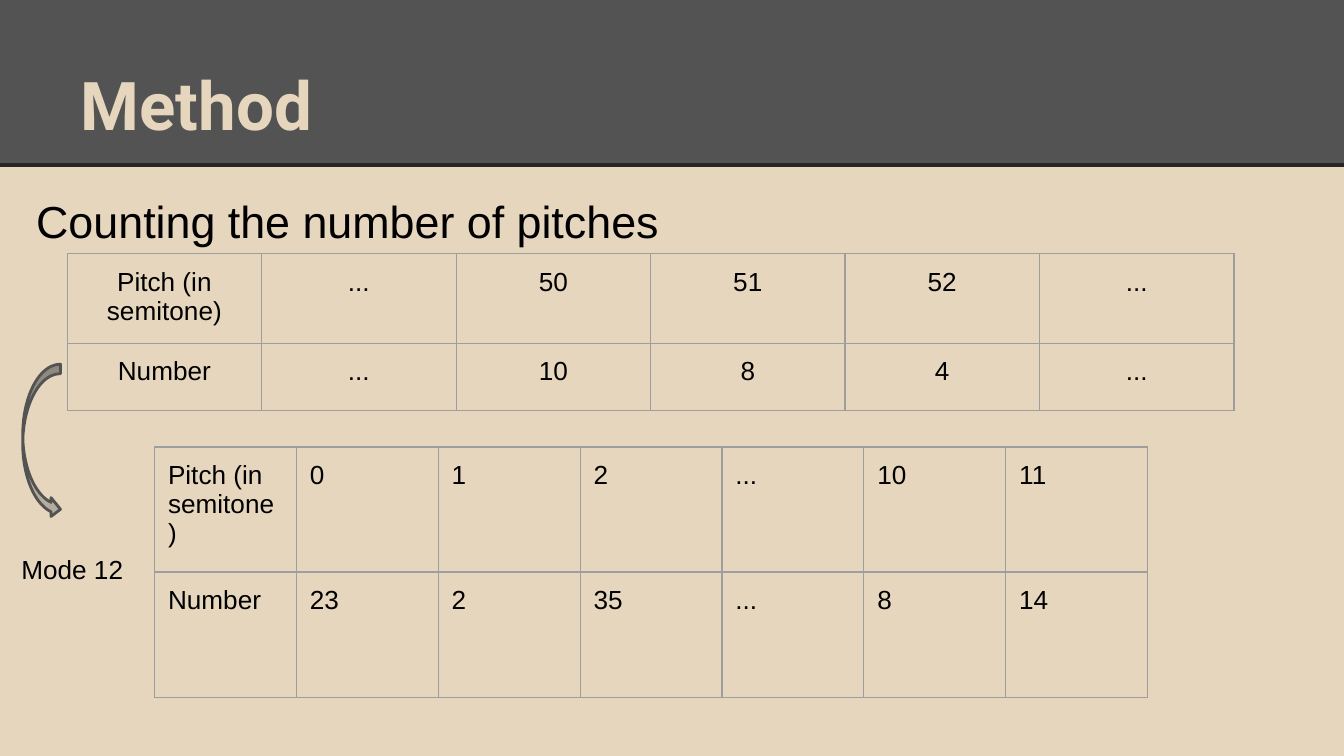
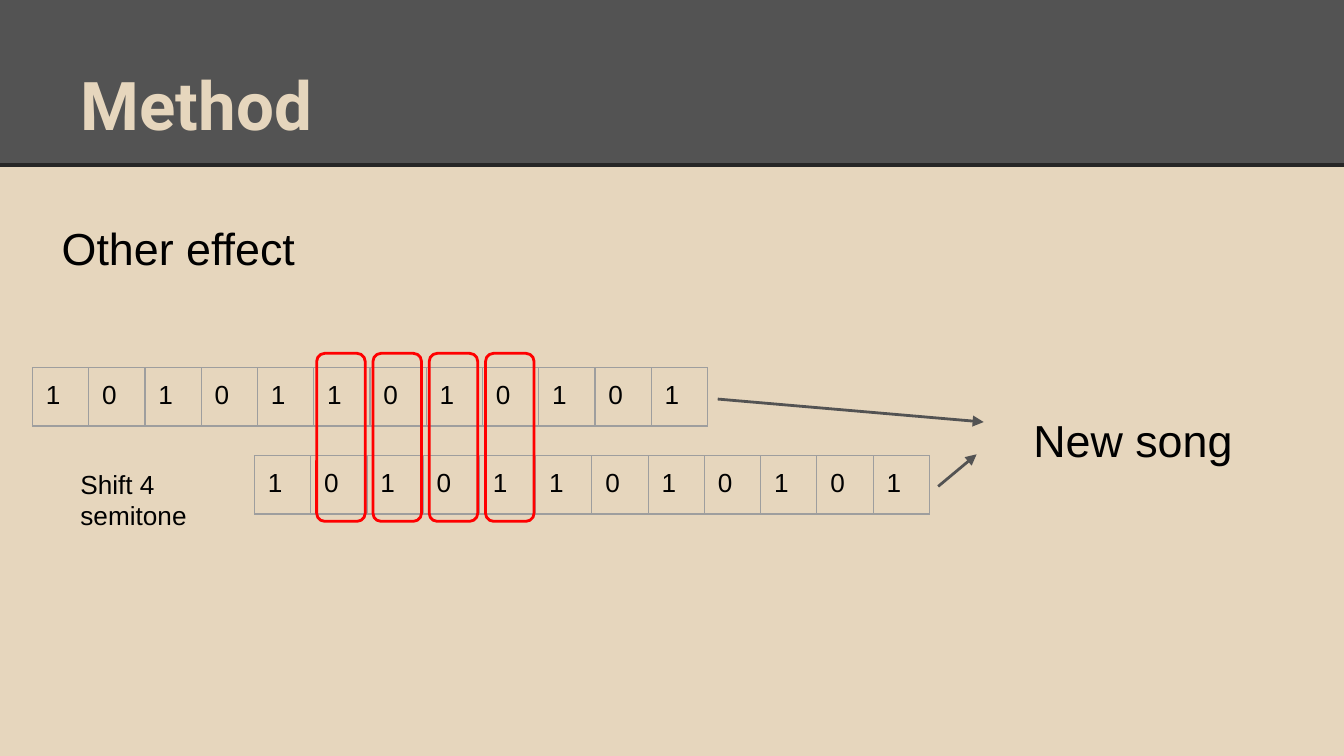
from collections import namedtuple

from lxml import etree
from pptx import Presentation
from pptx import util as u
from pptx.dml.color import RGBColor
from pptx.enum import shapes, text
from pptx.oxml import ns, parse_xml

COLORS = {
    "sand": "E6D6BD",
    "slate": "535353",
    "rule": "262626",
    "arrow": "B4AD9E",
    "grid": "9E9E9E",
    "ink": "000000",
    "overlap": "FF0000",
}
INSET = u.Pt(7.2)
BAND_HEIGHT = 88.5
NOTE_COLUMN = 30.15
MELODY = list("101011010101")


class Box(namedtuple("Box", "left top width height")):
    def inner(self, left, top, width, height):
        return Box(self.left + left, self.top + top, width, height)

    def lengths(self):
        return [u.Pt(value) for value in self]


PAGE = Box(0, 0, 720, 405)
BAND = PAGE.inner(0, 0, PAGE.width, BAND_HEIGHT)
BODY = PAGE.inner(0, BAND_HEIGHT, PAGE.width, PAGE.height - BAND_HEIGHT)


def rgb(name):
    return RGBColor.from_string(COLORS[name])


def set_insets(holder):
    holder.margin_left = holder.margin_right = INSET
    holder.margin_top = holder.margin_bottom = INSET


def write(frame, words, size=14, font="Arial", color="ink", bold=False,
          align=text.PP_ALIGN.LEFT):
    paragraph = frame.paragraphs[0]
    paragraph.alignment = align
    run = paragraph.add_run()
    run.text = words
    run.font.size = u.Pt(size)
    run.font.name = font
    run.font.bold = bold
    run.font.color.rgb = rgb(color)


def add_label(slide, box, words, **style):
    frame = slide.shapes.add_textbox(*box.lengths()).text_frame
    frame.word_wrap = True
    set_insets(frame)
    write(frame, words, **style)


def add_outlined(slide, preset, box, line, fill=None):
    shape = slide.shapes.add_shape(preset, *box.lengths())
    shape.shadow.inherit = False
    if fill:
        shape.fill.solid()
        shape.fill.fore_color.rgb = rgb(fill)
    else:
        shape.fill.background()
    shape.line.color.rgb = rgb(line)
    shape.line.width = u.Pt(1.5)
    return shape


def add_line(slide, box, color, width, arrow=False):
    """Draw from the box's corner by its width and height, which may be negative."""
    left, top, across, down = box
    line = slide.shapes.add_connector(
        shapes.MSO_CONNECTOR.STRAIGHT,
        u.Pt(left), u.Pt(top), u.Pt(left + across), u.Pt(top + down))
    line.line.color.rgb = rgb(color)
    line.line.width = u.Pt(width)
    properties = line._element.spPr
    if arrow:
        stroke = properties.find(ns.qn("a:ln"))
        etree.SubElement(stroke, ns.qn("a:tailEnd"), type="triangle")
    etree.SubElement(properties, ns.qn("a:effectLst"))
    return line


def add_borders(cell):
    for side in ("lnL", "lnR", "lnT", "lnB"):
        cell._tc.get_or_add_tcPr().append(parse_xml(
            f'<a:{side} {ns.nsdecls("a")} w="{u.Pt(0.75)}"><a:solidFill>'
            f'<a:srgbClr val="{COLORS["grid"]}"/></a:solidFill></a:{side}>'))


def add_grid(slide, box, rows, align=text.PP_ALIGN.LEFT):
    """Fill the box with a plain ruled table of equal columns and rows."""
    table = slide.shapes.add_table(
        len(rows), len(rows[0]), *box.lengths()).table
    table.first_row = table.horz_banding = False
    for column in table.columns:
        column.width = u.Pt(box.width / len(rows[0]))
    for row, values in zip(table.rows, rows):
        row.height = u.Pt(box.height / len(rows))
        for cell, value in zip(row.cells, values):
            add_borders(cell)
            cell.fill.background()
            set_insets(cell)
            write(cell.text_frame, value, align=align)


def style_template(prs):
    background = prs.slide_master.background.fill
    background.solid()
    background.fore_color.rgb = rgb("sand")
    layout = prs.slide_layouts.get_by_name("Title Only")
    title = layout.placeholders[0]
    title.left, title.top, title.width, title.height = BAND.inner(
        36, 16.5, 648, 67.7).lengths()
    frame = title.text_frame
    set_insets(frame)
    frame.vertical_anchor = text.MSO_ANCHOR.BOTTOM
    frame.auto_size = text.MSO_AUTO_SIZE.NONE
    return layout


def add_method_slide(prs, layout):
    slide = prs.slides.add_slide(layout)
    band = add_outlined(slide, shapes.MSO_SHAPE.RECTANGLE, BAND,
                        "slate", fill="slate")
    band.line.fill.background()
    rule = add_line(slide, BAND.inner(0, BAND.height, BAND.width, 0),
                    "rule", 2.25)
    title = slide.shapes.title
    for backdrop in (band, rule):
        title._element.addprevious(backdrop._element)
    write(title.text_frame, "Method", size=36, font="Roboto",
          color="sand", bold=True)
    return slide


def draw_pitch_counts(slide, box):
    add_label(slide, box.inner(12.3, 8, 371, 46),
              "Counting the number of pitches", size=24)
    add_grid(slide, box.inner(36, 47.5, 625.2, 71.4), [
        ["Pitch (in semitone)", "...", "50", "51", "52", "..."],
        ["Number", "...", "10", "8", "4", "..."],
    ], align=text.PP_ALIGN.CENTER)
    add_grid(slide, box.inner(82.8, 151, 532, 134), [
        ["Pitch (in semitone)", "0", "1", "2", "...", "10", "11"],
        ["Number", "23", "2", "35", "...", "8", "14"],
    ])
    add_outlined(slide, shapes.MSO_SHAPE.CURVED_RIGHT_ARROW,
                 box.inner(12.2, 106.6, 20.2, 82.8), "slate", fill="arrow")
    add_label(slide, box.inner(4.3, 201, 82, 34.6), "Mode 12")


def draw_shifted_melody(slide, box):
    add_label(slide, box.inner(26, 22.4, 371, 46), "Other effect", size=24)
    melody_left = 17.4
    melody_width = NOTE_COLUMN * len(MELODY)
    for left, top in ((melody_left, 108.5), (136.3, 155.6)):
        add_grid(slide, box.inner(left, top, melody_width, NOTE_COLUMN),
                 [MELODY])
    for song_arrow in ((384.5, 125.3, 142.5, 12.3),
                       (502.6, 172.1, 20.6, -17.2)):
        add_line(slide, box.inner(*song_arrow), "slate", 1.5, arrow=True)
    add_label(slide, box.inner(546.5, 125.3, 148.3, 38.2), "New song", size=24)
    add_label(slide, box.inner(36, 155, 78.5, 41.8), "Shift 4 semitone")
    for note in range(5, 9):
        overlap_left = melody_left + note * NOTE_COLUMN + 1.5
        add_outlined(slide, shapes.MSO_SHAPE.ROUNDED_RECTANGLE,
                     box.inner(overlap_left, 100.8, 26, 90), "overlap")


def main():
    prs = Presentation()
    prs.slide_width, prs.slide_height = u.Pt(PAGE.width), u.Pt(PAGE.height)
    layout = style_template(prs)
    for draw_content in (draw_pitch_counts, draw_shifted_melody):
        draw_content(add_method_slide(prs, layout), BODY)
    prs.save("out.pptx")


if __name__ == "__main__":
    main()
